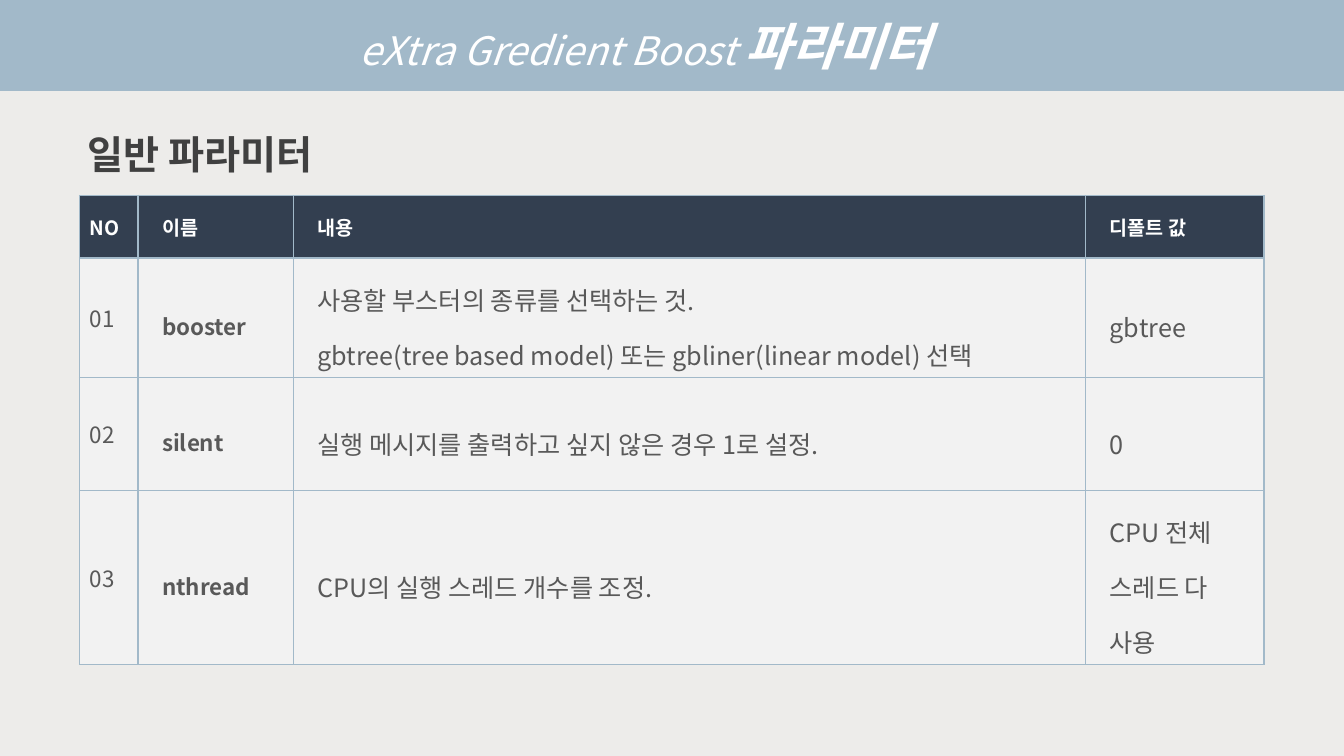
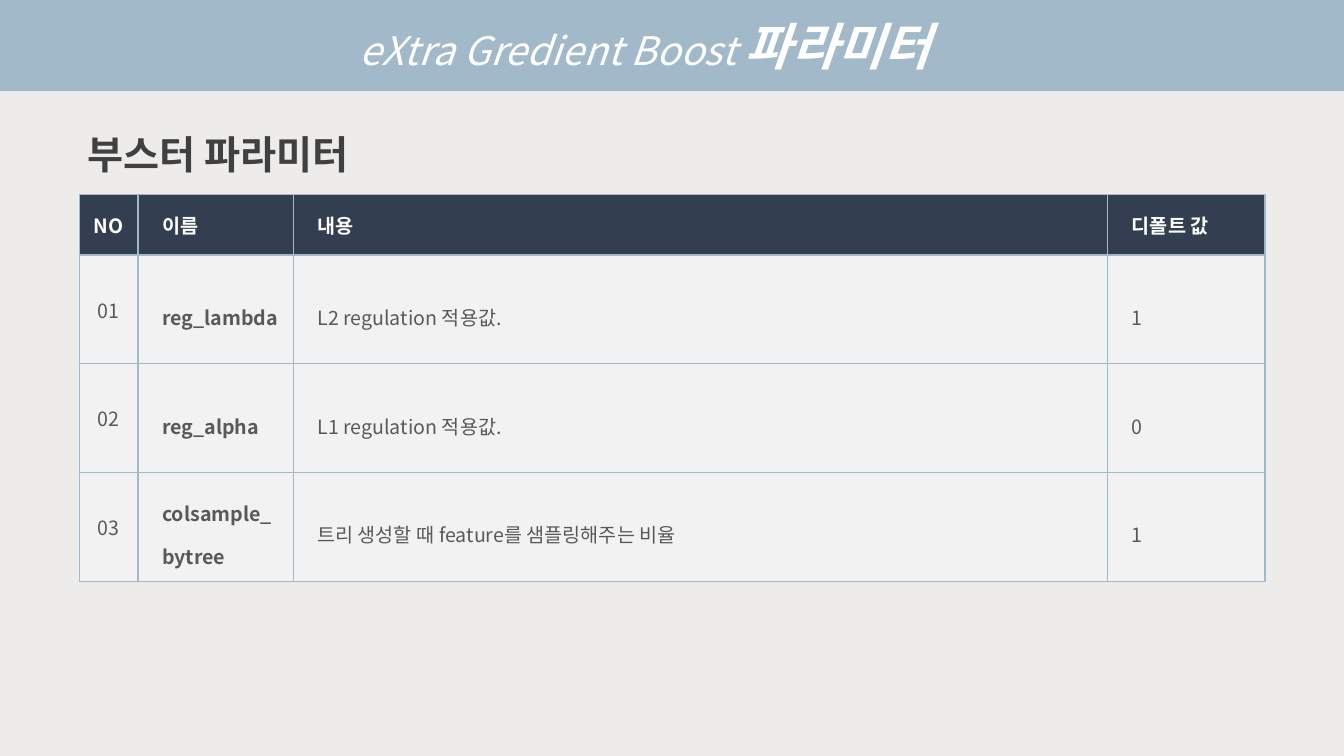
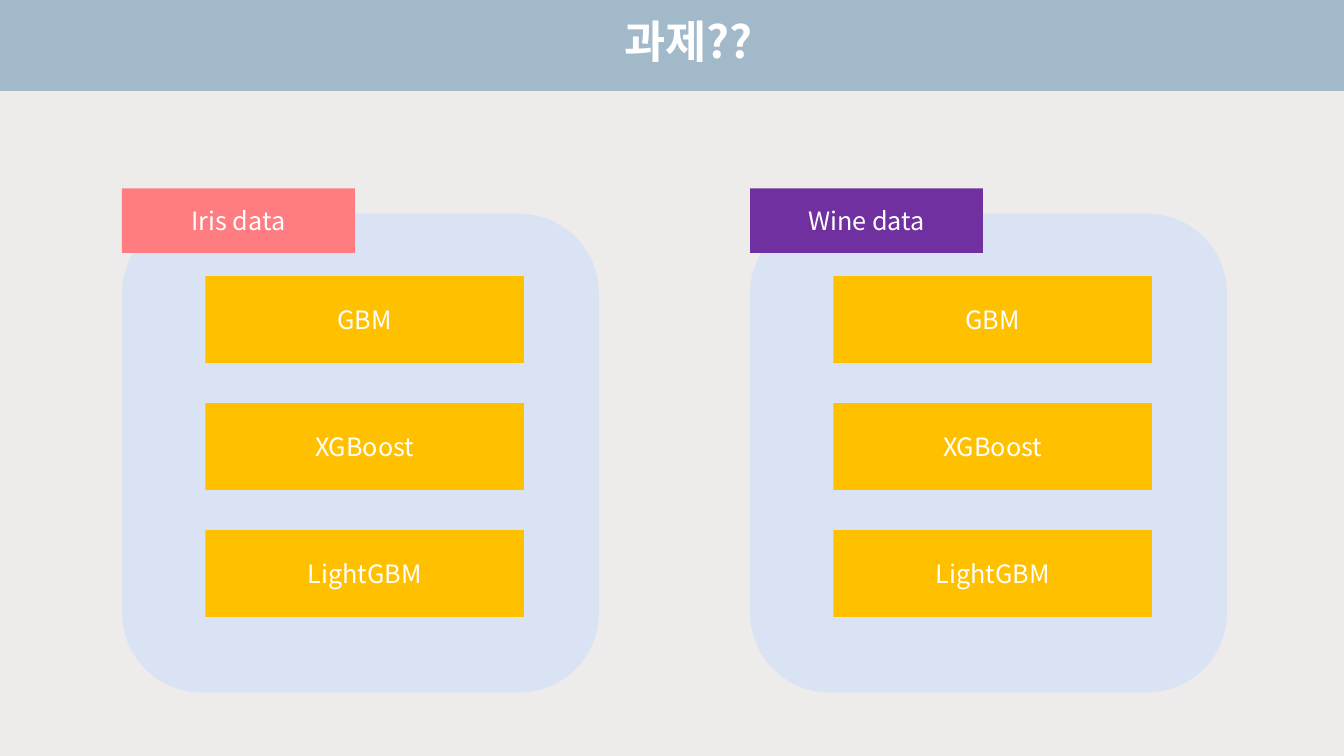
from lxml.etree import SubElement
from pptx import Presentation
from pptx.dml.color import RGBColor
from pptx.enum.shapes import MSO_SHAPE as Preset
from pptx.enum.text import MSO_ANCHOR as Anchor, PP_ALIGN as Align
from pptx.oxml.ns import qn
from pptx.util import Inches, Pt

WIDTH, HEIGHT = 13.33, 7.5
FONT = "Noto Sans CJK KR"
COLORS = {
    "page": "EDECEA", "band": "A2B9C9", "white": "FFFFFF", "heading": "404040",
    "table_head": "333F50", "table_body": "F2F2F2", "body_text": "595959",
    "panel": "DAE3F3", "iris": "FF7C80", "wine": "7030A0", "model": "FFC000",
}
HEADER = ("NO", "이름", "내용", "디폴트 값")
GENERAL = (
    ("01", "booster",
     "사용할 부스터의 종류를 선택하는 것.\n"
     "gbtree(tree based model) 또는 gbliner(linear model) 선택", "gbtree"),
    ("02", "silent", "실행 메시지를 출력하고 싶지 않은 경우 1로 설정.", "0"),
    ("03", "nthread", "CPU의 실행 스레드 개수를 조정.", "CPU 전체 스레드 다 사용"),
)
BOOSTER = (
    ("01", "reg_lambda", "L2 regulation 적용값.", "1"),
    ("02", "reg_alpha", "L1 regulation 적용값.", "0"),
    ("03", "colsample_bytree", "트리 생성할 때 feature를 샘플링해주는 비율", "1"),
)
PARAMETER_TITLE = (("eXtra Gredient Boost ", 28, False), ("파라미터", 36, True))
MODELS = ("GBM", "XGBoost", "LightGBM")


def rgb(name):
    return RGBColor.from_string(COLORS[name])


def across(percent):
    return Inches(WIDTH * percent / 100)


def down(percent):
    return Inches(HEIGHT * percent / 100)


def area(left, top, width, height):
    """Turn percentages of the slide into a position and a size."""
    return across(left), down(top), across(width), down(height)


def style(paragraph, color, size=None, bold=None, italic=None,
          align=Align.LEFT, spacing=None):
    paragraph.alignment = align
    paragraph.line_spacing = spacing
    font = paragraph.font
    font.name, font.bold, font.italic = FONT, bold, italic
    font.color.rgb = rgb(color)
    if size:
        font.size = Pt(size)
    defaults = paragraph._p.pPr.find(qn("a:defRPr"))
    SubElement(defaults, qn("a:ea"), typeface=FONT)


def paint_background(master):
    """Page colour with a sharp-edged band across the top, for every slide."""
    fill = master.background.fill
    fill.gradient()
    fill.gradient_angle = 90
    for stop, color in zip(fill.gradient_stops, ("page", "band")):
        stop.position = 0.88
        stop.color.rgb = rgb(color)


def add_text_box(slide, place):
    frame = slide.shapes.add_textbox(*area(*place)).text_frame
    frame.word_wrap = True
    return frame.paragraphs[0]


def add_title(slide, place, pieces, italic=False):
    paragraph = add_text_box(slide, place)
    style(paragraph, "white", italic=italic, align=Align.CENTER)
    for text, size, bold in pieces:
        run = paragraph.add_run()
        run.text = text
        run.font.size, run.font.bold = Pt(size), bold


def add_heading(slide, text):
    paragraph = add_text_box(slide, (5.8, 13.47, 45.8, 9.6))
    paragraph.text = text
    style(paragraph, "heading", 28, bold=True, spacing=1.5)


def add_block(slide, place, color, text="", preset=Preset.RECTANGLE):
    shape = slide.shapes.add_shape(preset, *area(*place))
    shape.shadow.inherit = False
    shape.fill.solid()
    shape.fill.fore_color.rgb = rgb(color)
    shape.line.fill.background()
    if text:
        shape.text_frame.vertical_anchor = Anchor.MIDDLE
        paragraph = shape.text_frame.paragraphs[0]
        paragraph.text = text
        style(paragraph, "white", 18, align=Align.CENTER)


def draw_borders(cell):
    properties = cell._tc.get_or_add_tcPr()
    for index, side in enumerate(("lnL", "lnR", "lnT", "lnB")):
        line = properties.makeelement(qn("a:" + side), {"w": str(Pt(1))})
        fill = SubElement(line, qn("a:solidFill"))
        SubElement(fill, qn("a:srgbClr"), val=COLORS["band"])
        properties.insert(index, line)


def fill_cell(cell, text, is_head, is_number, size, align):
    cell.text = text
    cell.vertical_anchor = Anchor.MIDDLE
    if not is_number:
        cell.margin_left = Inches(0.24)
    cell.fill.solid()
    cell.fill.fore_color.rgb = rgb("table_head" if is_head else "table_body")
    draw_borders(cell)


def add_parameter_table(slide, top, columns, head_height, row_height, rows,
                        sizes, number_align):
    grid = (HEADER, *rows)
    heights = [head_height] + [row_height] * len(rows)
    place = area(5.92, top, sum(columns), sum(heights))
    table = slide.shapes.add_table(len(grid), len(columns), *place).table
    for column, width in zip(table.columns, columns):
        column.width = across(width)
    for row_index, (row, height, texts) in enumerate(zip(table.rows, heights, grid)):
        row.height = down(height)
        is_head = row_index == 0
        for index, (cell, text) in enumerate(zip(row.cells, texts)):
            is_number = index == 0
            align = number_align if is_number else Align.LEFT
            size = 14 if is_head else sizes[index]
            fill_cell(cell, text, is_head, is_number, size, align)
            for paragraph in cell.text_frame.paragraphs:
                style(paragraph, "white" if is_head else "body_text", size,
                      bold=is_head or index == 1, align=align,
                      spacing=None if is_head or is_number else 1.5)


def add_parameter_slide(slide, heading, **table):
    add_parameter_table(slide, **table)
    add_title(slide, (12.9, 1.33, 70.2, 9.47), PARAMETER_TITLE, italic=True)
    add_heading(slide, heading)


def add_data_panel(slide, left, name, color):
    add_block(slide, (left, 28.27, 35.48, 63.33), "panel",
              preset=Preset.ROUNDED_RECTANGLE)
    add_block(slide, (left, 24.93, 17.33, 8.53), color, name)
    for index, model in enumerate(MODELS):
        top = 36.53 + 16.8 * index
        add_block(slide, (left + 6.2, top, 23.7, 11.47), "model", model)


def main():
    presentation = Presentation()
    presentation.slide_width, presentation.slide_height = Inches(WIDTH), Inches(HEIGHT)
    paint_background(presentation.slide_master)
    blank = presentation.slide_layouts[6]
    general, booster, task = (presentation.slides.add_slide(blank) for _ in range(3))

    add_parameter_slide(general, "일반 파라미터", top=25.87,
                        columns=(4.35, 11.55, 58.96, 13.28),
                        head_height=8.27, row_height=14.93, rows=GENERAL,
                        sizes=(16, 16, 18, 18), number_align=Align.LEFT)
    add_parameter_slide(booster, "부스터 파라미터", top=25.73,
                        columns=(4.35, 11.55, 60.61, 11.7),
                        head_height=8, row_height=14.4, rows=BOOSTER,
                        sizes=(14, 14, 14, 14), number_align=Align.CENTER)

    add_title(task, (20.93, 1.2, 60.6, 8.53), (("과제??", 32, True),))
    add_data_panel(task, 9.08, "Iris data", "iris")
    add_data_panel(task, 55.81, "Wine data", "wine")
    presentation.save("out.pptx")


if __name__ == "__main__":
    main()
